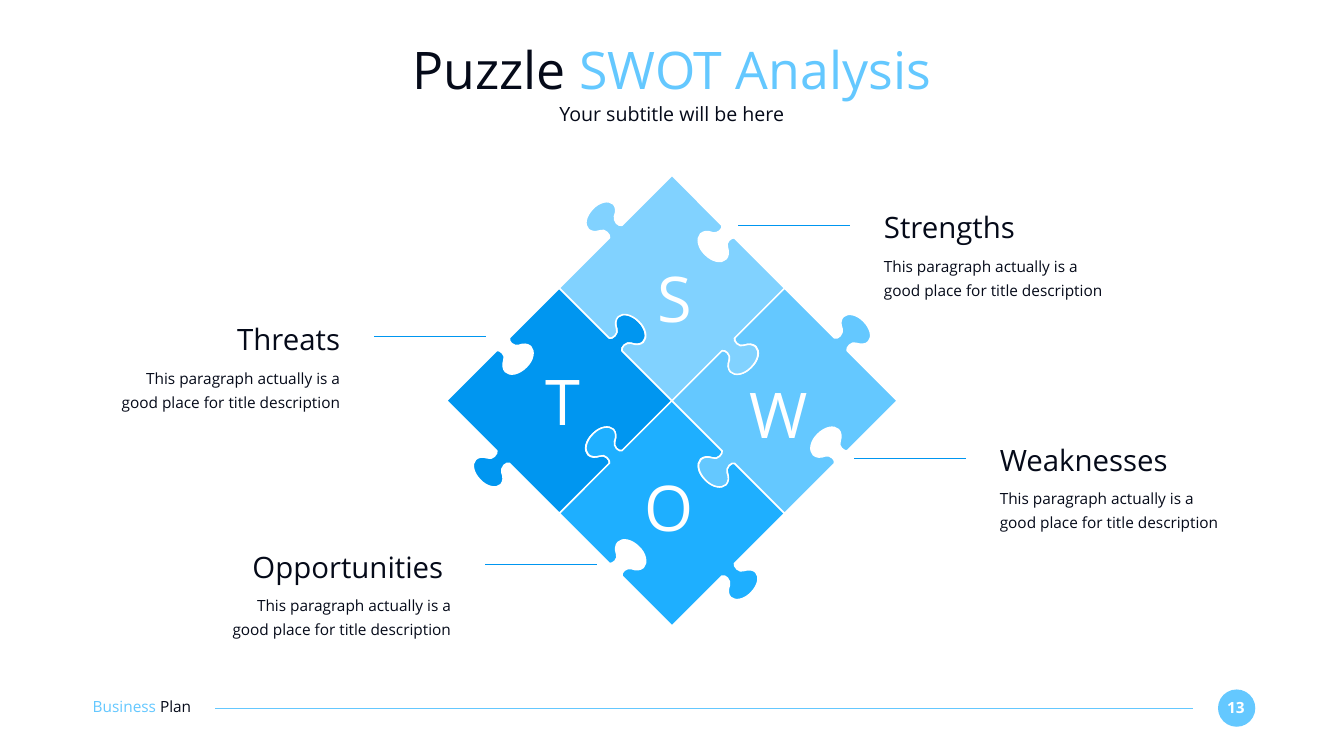
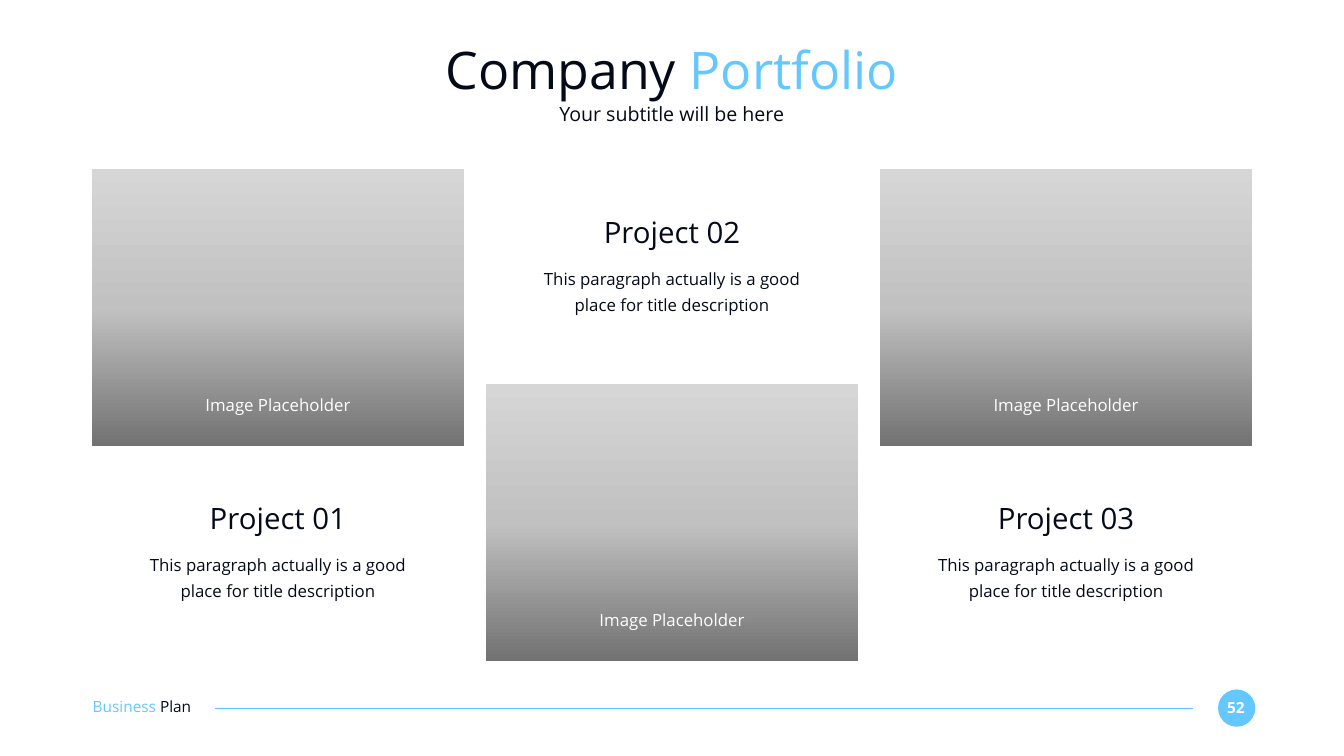
"""Build a puzzle SWOT slide and a company portfolio slide."""
from copy import deepcopy
from dataclasses import dataclass

from lxml import etree
from pptx import Presentation
from pptx import util as u
from pptx.dml.color import RGBColor
from pptx.enum import shapes, text
from pptx.oxml.ns import qn

COLS, ROWS = 26.67, 15
LEFT, CENTER, RIGHT = text.PP_ALIGN.LEFT, text.PP_ALIGN.CENTER, text.PP_ALIGN.RIGHT


@dataclass(frozen=True)
class Theme:
    """Colours, font and type sizes shared by the slides."""
    font: str = "Open Sans"
    ink: str = "050A19"
    white: str = "FFFFFF"
    accent: str = "64C8FF"
    pale: str = "81D2FF"
    bright: str = "1EAFFF"
    deep: str = "0096F0"
    fade: tuple = ((0, "727272"), (0.5, "C1C1C1"), (1, "D6D6D6"))
    title: int = 74
    subtitle: int = 28
    heading: int = 42
    letter: int = 90
    body: int = 24
    small: int = 22


T = Theme()
DESCRIPTION = "This paragraph actually is a good place for title description"
HALF = 2.235
EDGE = (
    (0, 0),
    (0.99, 0.99), (0.99, 0.99), (0.99, 0.99),
    (1.02, 1.00), (1.07, 0.99), (1.10, 0.95),
    (1.14, 0.91), (1.15, 0.85), (1.14, 0.81),
    (1.10, 0.71), (1.11, 0.63), (1.16, 0.57),
    (1.25, 0.48), (1.44, 0.52), (1.57, 0.66),
    (1.71, 0.80), (1.75, 0.98), (1.66, 1.07),
    (1.61, 1.12), (1.52, 1.13), (1.43, 1.10),
    (1.38, 1.08), (1.33, 1.09), (1.29, 1.13),
    (1.25, 1.17), (1.23, 1.21), (1.24, 1.24),
    (HALF, HALF), (HALF, HALF), (HALF, HALF),
)


def grid(*cells):
    """Turn grid cells, one inch each, into lengths."""
    return [u.Inches(c) for c in cells]


def rgb(color):
    """Turn a hex string into a colour."""
    return RGBColor.from_string(color)


def write(tf, content, size=T.small, color=T.ink, align=LEFT, bold=False, spacing=None):
    """Fill a text frame with a string or with (text, colour) runs."""
    tf.word_wrap = True
    tf.auto_size = text.MSO_AUTO_SIZE.NONE
    tf.vertical_anchor = text.MSO_ANCHOR.MIDDLE
    tf.margin_left = tf.margin_top = tf.margin_right = tf.margin_bottom = 0
    p = tf.paragraphs[0]
    p.alignment = align
    p.space_before = u.Pt(0)
    if spacing:
        p.line_spacing = spacing
    runs = [(content, color)] if isinstance(content, str) else content
    for words, run_color in runs:
        r = p.add_run()
        r.text = words
        r.font.name, r.font.size, r.font.bold = T.font, u.Pt(size), bold
        r.font.color.rgb = rgb(run_color)
    return p


def add_text(s, box, content, **style):
    """Add a text box on the grid."""
    sp = s.shapes.add_textbox(*grid(*box))
    write(sp.text_frame, content, **style)
    return sp


def add_rule(s, x1, x2, y, color):
    """Add a thin horizontal line."""
    line = s.shapes.add_connector(shapes.MSO_CONNECTOR.STRAIGHT, *grid(x1, y, x2, y))
    line.line.color.rgb = rgb(color)
    line.line.width = u.Pt(1.5)
    etree.SubElement(line._element.spPr, qn("a:effectLst"))
    return line


def place(sp, *box):
    """Move a placeholder onto the grid."""
    sp.left, sp.top, sp.width, sp.height = grid(*box)


def move_footer(s, layout):
    """Draw the footer once and hand it to the layout."""
    badge = s.shapes.add_shape(shapes.MSO_SHAPE.OVAL, *grid(24.17, 13.68, 0.74, 0.74))
    badge.shadow.inherit = False
    badge.fill.solid()
    badge.fill.fore_color.rgb = rgb(T.accent)
    badge.line.fill.background()
    rule = add_rule(s, 23.67, 4.27, 14.05, T.accent)
    label = add_text(s, (1.84, 13.83, 2.59, 0.37), [("Business ", T.accent), ("Plan", T.ink)])
    for sp in (badge, rule, label):
        layout.shapes._spTree.append(sp._element)


def add_base(prs, layout, plain, accented, number):
    """Add a slide with its title, subtitle and page number."""
    s = prs.slides.add_slide(layout)
    title, body = s.placeholders
    place(title, 1.83, 0.72, 23, 1.27)
    write(title.text_frame, [(plain, T.ink), (accented, T.accent)], size=T.title, align=CENTER)
    place(body, 1.83, 2.02, 23, 0.49)
    p = write(body.text_frame, "Your subtitle will be here", size=T.subtitle, align=CENTER)
    pPr = p._p.get_or_add_pPr()
    pPr.set("marL", "0")
    pPr.set("indent", "0")
    etree.SubElement(pPr, qn("a:buNone"))
    add_text(s, (24.23, 13.85, 0.59, 0.37), str(number), color=T.white, align=CENTER, bold=True)
    return s


def curve(sp):
    """Turn every three line segments of a freeform into one Bézier curve."""
    lines = list(sp._element.iter(qn("a:lnTo")))
    for first, second, third in zip(*[iter(lines)] * 3):
        first.tag = qn("a:cubicBezTo")
        for line in (second, third):
            first.append(line[0])
            line.getparent().remove(line)


def add_piece(s, cx, cy, tab_sign, color):
    """Add a diamond piece; edges whose sign matches carry tabs, others sockets."""
    outline = []
    for sx, sy in ((1, -1), (1, 1), (-1, 1), (-1, -1)):
        edge = EDGE if sx * sy == tab_sign else [(y, x) for x, y in EDGE]
        edge = [(cx + sx * x, cy + sy * (HALF - y)) for x, y in edge]
        edge = edge if sx * sy < 0 else edge[::-1]
        outline += edge[1:] if outline else edge
    points = [(round(x * 1000), round(y * 1000)) for x, y in outline]
    builder = s.shapes.build_freeform(*points[0], scale=u.Inches(1) / 1000)
    for x, y in points[1:]:
        builder.add_line_segments([(x, y)], close=False)
    builder.add_line_segments([], close=True)
    sp = builder.convert_to_shape()
    curve(sp)
    sp.shadow.inherit = False
    sp.fill.solid()
    sp.fill.fore_color.rgb = rgb(color)
    sp.line.color.rgb = rgb(T.white)
    sp.line.width = u.Pt(2.25)


def add_callout(s, x, y, rule_y, heading, align):
    """Add a heading, description and rule on the side facing the puzzle."""
    width, gap, length = 4.54, 0.68, 2.22
    add_text(s, (x, y, width, 0.71), heading, size=T.heading, align=align)
    add_text(s, (x, y + 0.85, width, 0.92), DESCRIPTION, align=align, spacing=1.3)
    start = x + width + gap - 0.01 if align == RIGHT else x - gap - length
    add_rule(s, start + length, start, rule_y, T.deep)


def add_project(s, x, image_y, text_y, name):
    """Add an image panel with its caption and project text."""
    add_text(s, (x + 0.72, text_y, 5.95, 0.71), name, size=T.heading, align=CENTER)
    add_text(s, (x + 0.72, text_y + 0.98, 5.95, 1.01), DESCRIPTION,
             size=T.body, align=CENTER, spacing=1.3)
    panel = s.shapes.add_shape(shapes.MSO_SHAPE.RECTANGLE, *grid(x, image_y, 7.39, 5.49))
    panel.shadow.inherit = False
    panel.line.fill.background()
    panel.fill.gradient()
    panel.fill.gradient_angle = 90
    stops = panel._element.spPr.find(qn("a:gradFill")).find(qn("a:gsLst"))
    stops.append(deepcopy(stops[0]))
    for stop, (position, color) in zip(panel.fill.gradient_stops, T.fade):
        stop.position = position
        stop.color.rgb = rgb(color)
    add_text(s, (x + 0.84, image_y + 4.47, 5.71, 0.4), "Image Placeholder",
             size=T.body, color=T.white, align=CENTER)


def build_swot(s):
    """Fill the puzzle slide."""
    cx, cy = COLS / 2, 7.95
    for dx, dy, tab_sign, color in ((-1, 0, -1, T.deep), (0, 1, 1, T.bright),
                                    (1, 0, -1, T.accent), (0, -1, 1, T.pale)):
        add_piece(s, cx + dx * HALF, cy + dy * HALF, tab_sign, color)
    for callout in ((2.21, 6.37, 6.68, "Threats", RIGHT),
                    (4.41, 10.88, 11.2, "Opportunities ", RIGHT),
                    (17.54, 4.15, 4.48, "Strengths", LEFT),
                    (19.84, 8.76, 9.1, "Weaknesses", LEFT)):
        add_callout(s, *callout)
    for x, y, letter in ((14.4, 7.44, "W"), (12.35, 5.14, "S"),
                         (10.12, 7.19, "T"), (12.22, 9.3, "O")):
        add_text(s, (x, y, 2.1, 1.51), letter, size=T.letter, color=T.white, align=CENTER)


def build_portfolio(s):
    """Fill the portfolio slide, with the middle column turned over."""
    for i in range(3):
        image_y, text_y = (7.62, 4.24) if i == 1 else (3.36, 9.92)
        add_project(s, 1.82 + i * 7.82, image_y, text_y, f"Project {i + 1:02}")


def main():
    """Build and save the presentation."""
    prs = Presentation()
    prs.slide_width, prs.slide_height = grid(COLS, ROWS)
    layout = prs.slide_layouts[1]
    swot = add_base(prs, layout, "Puzzle ", "SWOT Analysis", 13)
    move_footer(swot, layout)
    build_swot(swot)
    build_portfolio(add_base(prs, layout, "Company ", "Portfolio", 52))
    prs.save("out.pptx")


if __name__ == "__main__":
    main()
